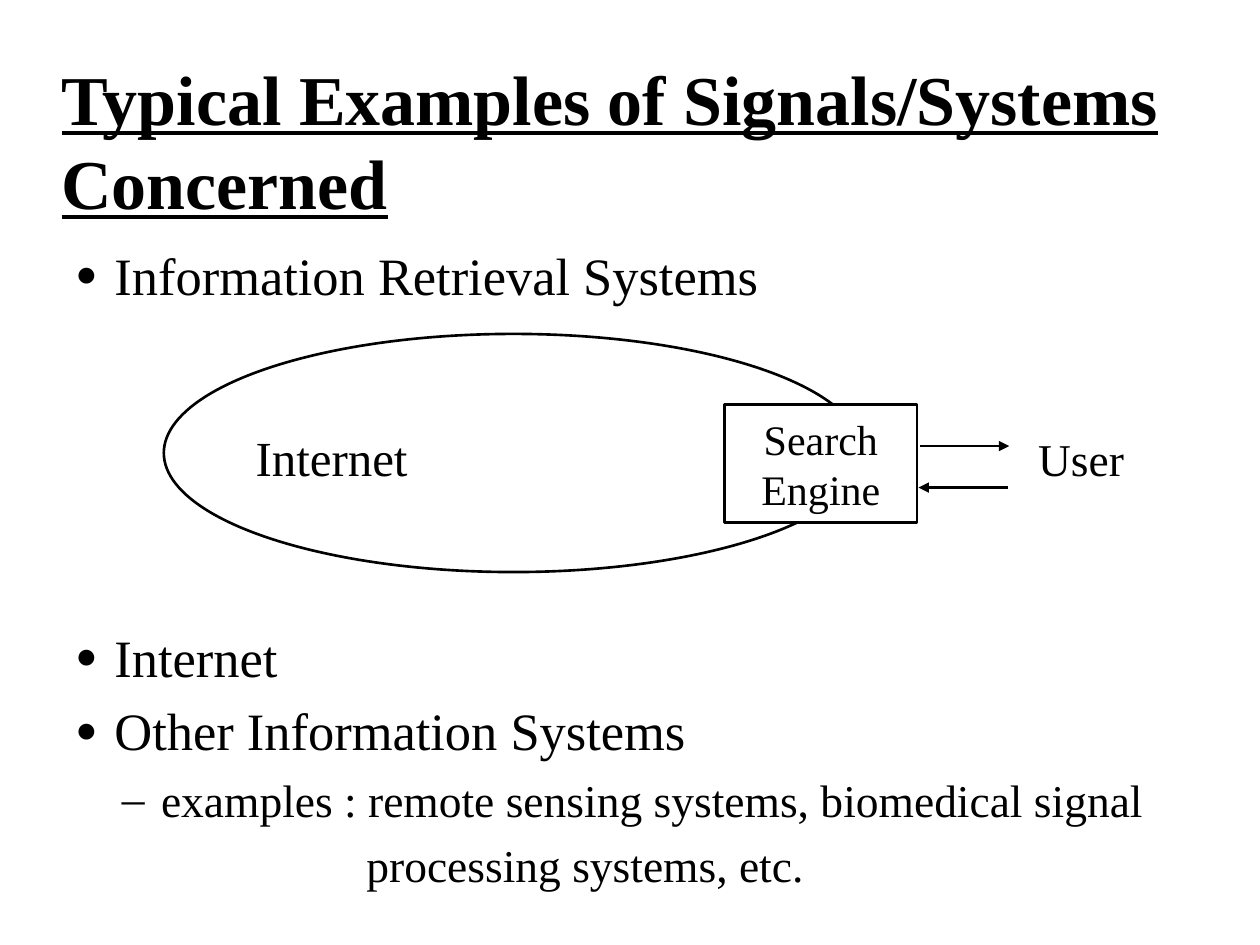
import pptx
import pptx.util
import pptx.dml.color
import pptx.enum.shapes
import pptx.enum.text
import pptx.oxml.ns
from lxml import etree

Inches = pptx.util.Inches
Pt = pptx.util.Pt
Anchor = pptx.enum.text.MSO_ANCHOR
Align = pptx.enum.text.PP_ALIGN
Kind = pptx.enum.shapes.MSO_SHAPE


def color(code):
    return pptx.dml.color.RGBColor.from_string(code)


def add_tag(parent, name, **attrs):
    return etree.SubElement(parent, pptx.oxml.ns.qn(name), attrs)


class Board:
    """Holds the style and the current slide."""

    font = "Times New Roman"
    ink = "000000"
    paper = "FFFFFF"
    width = 1.5

    def __init__(self, deck):
        self.slide = deck.slides.add_slide(deck.slide_layouts[6])

    def style(self, para, size, bold=False):
        for run in para.runs:
            run.font.name = self.font
            run.font.size = Pt(size)
            run.font.bold = bold
            run.font.underline = bold
            run.font.color.rgb = color(self.ink)

    def text(self, lines, box, size, bold=False, anchor=Anchor.TOP):
        frame = self.slide.shapes.add_textbox(*map(Inches, box)).text_frame
        frame.word_wrap = True
        frame.vertical_anchor = anchor
        frame.text = "\n".join(lines)
        for para in frame.paragraphs:
            self.style(para, size, bold)

    def bullets(self, items, box):
        """Each item is text, level, size, mark, left margin, space before."""
        frame = self.slide.shapes.add_textbox(*map(Inches, box)).text_frame
        frame.word_wrap = True
        for i, (text, level, size, mark, left, gap) in enumerate(items):
            para = frame.add_paragraph() if i else frame.paragraphs[0]
            para.text = text
            para.level = level
            para.space_before = Pt(gap)
            props = para._p.get_or_add_pPr()
            props.set("marL", str(Inches(left)))
            props.set("indent", str(Inches(-0.31 if mark else 0)))
            if mark:
                scale = "70000" if mark == "●" else "100000"
                add_tag(props, "a:buSzPct", val=scale)
                add_tag(props, "a:buFont", typeface=self.font)
                add_tag(props, "a:buChar", char=mark)
            else:
                add_tag(props, "a:buNone")
            self.style(para, size)

    def shape(self, kind, box, text="", size=24, fill=None):
        item = self.slide.shapes.add_shape(kind, *map(Inches, box))
        item.shadow.inherit = False
        if fill:
            item.fill.solid()
            item.fill.fore_color.rgb = color(fill)
        else:
            item.fill.background()
        item.line.color.rgb = color(self.ink)
        item.line.width = Pt(self.width)
        if text:
            frame = item.text_frame
            frame.word_wrap = True
            frame.vertical_anchor = Anchor.MIDDLE
            frame.text = text
            frame.paragraphs[0].alignment = Align.CENTER
            self.style(frame.paragraphs[0], size)

    def arrow(self, start, end):
        line = self.slide.shapes.add_connector(
            pptx.enum.shapes.MSO_CONNECTOR.STRAIGHT, *map(Inches, start + end))
        line.line.color.rgb = color(self.ink)
        line.line.width = Pt(self.width)
        add_tag(line.line._get_or_add_ln(), "a:tailEnd", type="triangle")
        add_tag(line._element.spPr, "a:effectLst")


def main():
    deck = pptx.Presentation()
    deck.slide_width = Inches(10)
    deck.slide_height = Inches(7.5)
    board = Board(deck)

    board.text(["Typical Examples of Signals/Systems", "Concerned"],
               (0.39, 0.39, 9.5, 1.44), 40, bold=True)
    # The wide gap before the second item leaves room for the diagram.
    board.bullets([
        ("Information Retrieval Systems", 0, 30, "●", 0.81, 0),
        ("Internet", 0, 30, "●", 0.81, 182),
        ("Other Information Systems", 0, 30, "●", 0.81, 6),
        ("examples : remote sensing systems, biomedical signal",
         1, 26, "–", 1.18, 6),
        ("processing systems, etc.", 1, 26, "", 2.81, 6),
    ], (0, 1.88, 10, 5.28))

    board.shape(Kind.OVAL, (1.3, 2.65, 5.55, 1.89))
    board.shape(Kind.RECTANGLE, (5.75, 3.21, 1.53, 0.94),
                "Search Engine", fill=board.paper)
    board.text(["Internet"], (1.93, 3.34, 1.57, 0.57), 28, anchor=Anchor.MIDDLE)
    board.arrow((7.3, 3.54), (8.01, 3.54))
    board.arrow((8, 3.87), (7.29, 3.87))
    board.text(["User"], (8.14, 3.37, 1.11, 0.54), 26)

    deck.save("out.pptx")


if __name__ == "__main__":
    main()
